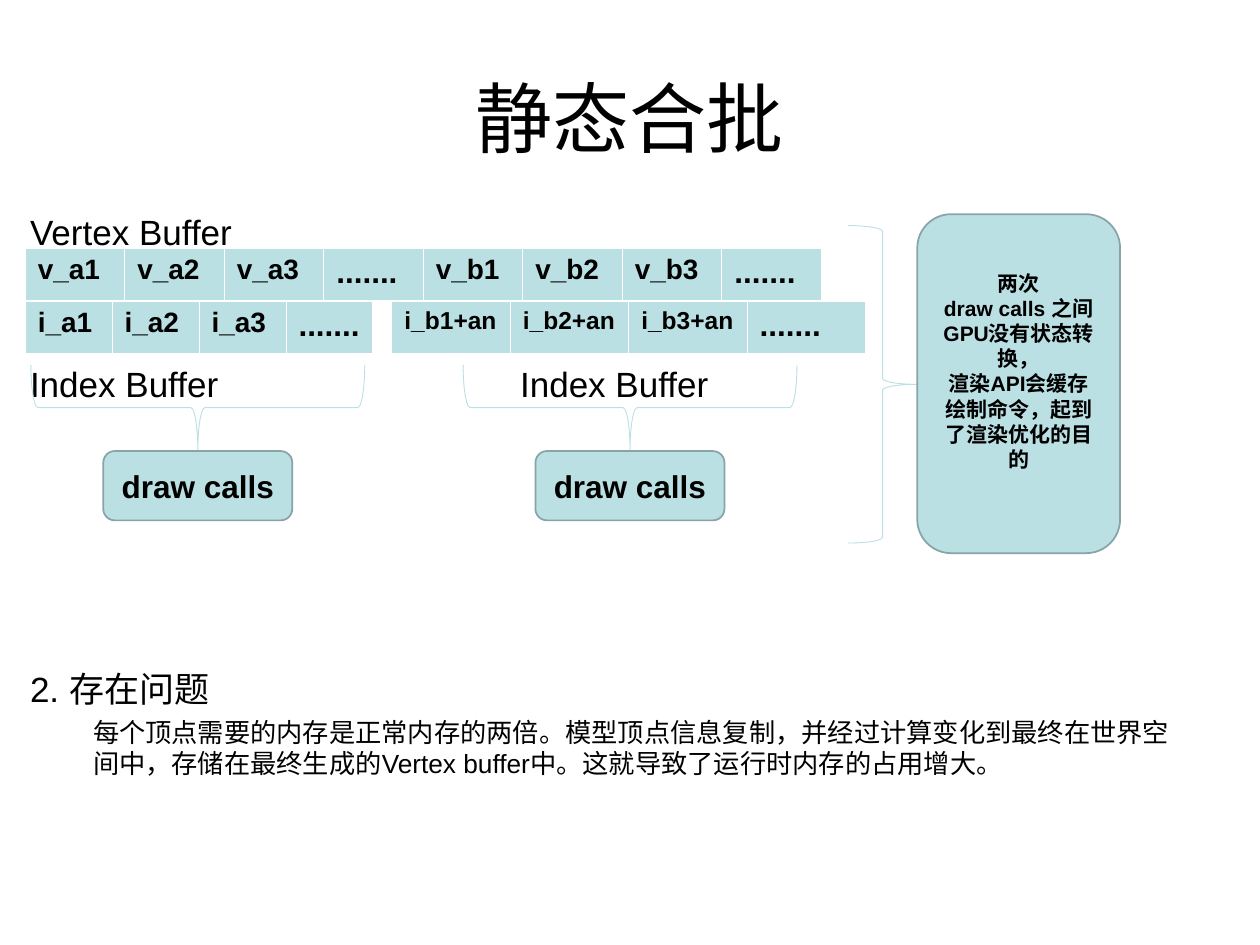
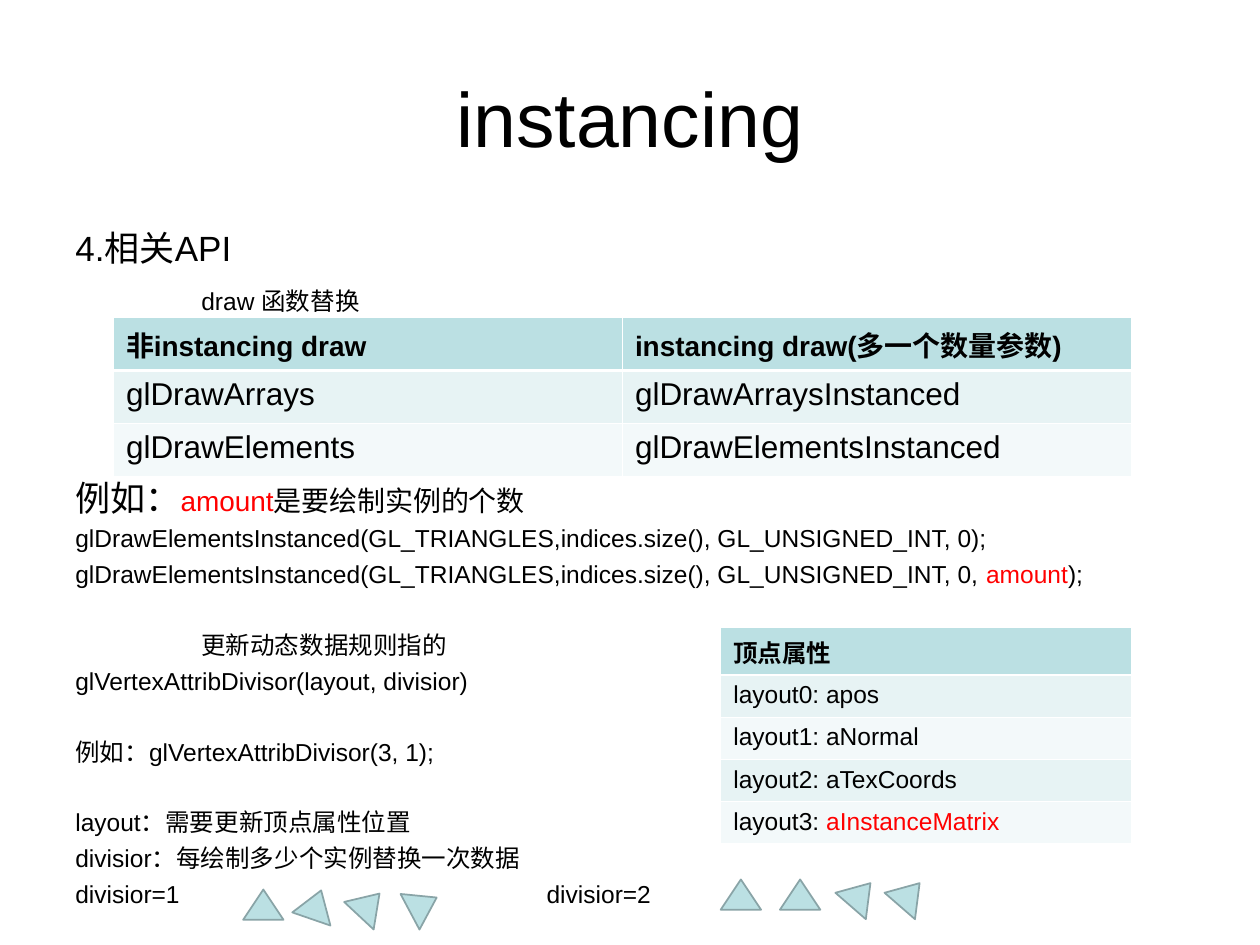
"""Build two slides on static batching and instancing."""
from dataclasses import dataclass

import pptx
import pptx.dml.color
import pptx.enum.shapes
import pptx.enum.text
import pptx.oxml
import pptx.oxml.ns
import pptx.util
from pptx.util import Inches

BLACK = pptx.dml.color.RGBColor(0x00, 0x00, 0x00)
RED = pptx.dml.color.RGBColor(0xFF, 0x00, 0x00)
TEAL = pptx.dml.color.RGBColor(0xBB, 0xE0, 0xE3)
TEAL_EDGE = pptx.dml.color.RGBColor(0x89, 0xA4, 0xA7)
BAND_FILLS = (pptx.dml.color.RGBColor(0xE7, 0xF3, 0xF4),
              pptx.dml.color.RGBColor(0xF3, 0xF9, 0xFA))
FONT = "Arial"
SHAPE = pptx.enum.shapes.MSO_SHAPE
ALIGN = pptx.enum.text.PP_ALIGN
ANCHOR = pptx.enum.text.MSO_ANCHOR
DOTS = "......."
LINE_GAP = 3.7
BLANK_LINE = 23.6


@dataclass
class Line:
    """One paragraph; each span is a text, or a (text, size, colour) tuple."""
    spans: tuple
    size: float
    before: float = 0
    indent: float = 0
    tab: float = 0
    bold: bool = False


BATCHING_TEXTS = [
    ((0.14, 1.62, 3, 0.45), [Line(("Vertex Buffer",), 20)]),
    ((0.14, 2.83, 3, 0.45), [Line(("Index Buffer",), 20)]),
    ((4.03, 2.83, 3, 0.45), [Line(("Index Buffer",), 20)]),
    ((0.14, 5.25, 9.36, 2), [
        Line(("2. 存在问题",), 20),
        Line(("每个顶点需要的内存是正常内存的两倍。模型顶点信息复制，并经过计算变化到最终在世界空间中，"
              "存储在最终生成的Vertex buffer中。这就导致了运行时内存的占用增大。",),
             15, before=3.7, indent=0.5),
    ]),
]
BUFFERS = [
    (0.2, 1.97, 0.79, 16, ["v_a1", "v_a2", "v_a3", DOTS, "v_b1", "v_b2", "v_b3", DOTS]),
    (0.2, 2.39, 0.69, 16, ["i_a1", "i_a2", "i_a3", DOTS]),
    (3.11, 2.39, 0.94, 14, ["i_b1+an", "i_b2+an", "i_b3+an", DOTS]),
]
DRAW_CALL_CENTERS = (1.57, 5)
STATE_NOTE = ["两次", "draw calls 之间GPU没有状态转换，", "渲染API会缓存绘制命令，起到了渲染优化的目的"]

INSTANCING_TEXTS = [
    ((0.5, 1.75, 9, 0.85), [
        Line(("4.相关API",), 20),
        Line(("draw 函数替换",), 14, before=10, indent=1),
    ]),
    ((0.5, 3.73, 9, 3.7), [
        Line((("例如：", 20, BLACK), ("amount", 16, RED), "是要绘制实例的个数"), 16),
        Line(("glDrawElementsInstanced(GL_TRIANGLES,indices.size(), GL_UNSIGNED_INT, 0);",),
             14, before=3),
        Line(("glDrawElementsInstanced(GL_TRIANGLES,indices.size(), GL_UNSIGNED_INT, 0, ",
              ("amount", 14, RED), ");"), 14, before=LINE_GAP),
        Line(("更新动态数据规则指的",), 14, before=BLANK_LINE, indent=1),
        Line(("glVertexAttribDivisor(layout, divisior)",), 14, before=LINE_GAP),
        Line(("例如：glVertexAttribDivisor(3, 1);",), 14, before=BLANK_LINE),
        Line(("layout：需要更新顶点属性位置",), 14, before=BLANK_LINE),
        Line(("divisior：每绘制多少个实例替换一次数据",), 14, before=LINE_GAP),
        Line(("divisior=1\tdivisior=2",), 14, before=LINE_GAP, tab=3.74),
    ]),
]
DRAW_FUNCTIONS = [
    ["非instancing draw", "instancing draw(多一个数量参数)"],
    ["glDrawArrays", "glDrawArraysInstanced"],
    ["glDrawElements", "glDrawElementsInstanced"],
]
VERTEX_ATTRIBUTES = [
    ["顶点属性"],
    ["layout0: apos"],
    ["layout1: aNormal"],
    ["layout2: aTexCoords"],
    [("layout3: ", ("aInstanceMatrix", 14, RED))],
]
INSTANCE_ROWS = [
    (7.06, [(1.93, 0), (2.35, 19), (2.77, 43), (3.2, 62)]),
    (6.98, [(5.72, 0), (6.19, 0), (6.67, 41), (7.06, 41)]),
]


def style_font(font, size, color=BLACK, bold=False):
    font.name = FONT
    font.size = pptx.util.Pt(size)
    font.bold = bold
    font.color.rgb = color


def write_lines(frame, lines, align=ALIGN.LEFT):
    frame.word_wrap = True
    for index, line in enumerate(lines):
        para = frame.paragraphs[0] if index == 0 else frame.add_paragraph()
        para.alignment = align
        if line.before:
            para.space_before = pptx.util.Pt(line.before)
        properties = para._p.get_or_add_pPr()
        if line.indent:
            properties.set("marL", str(Inches(line.indent)))
        if line.tab:
            properties.append(pptx.oxml.parse_xml(
                f'<a:tabLst {pptx.oxml.ns.nsdecls("a")}>'
                f'<a:tab pos="{Inches(line.tab)}" algn="l"/></a:tabLst>'))
        style_font(para.font, line.size, bold=line.bold)
        for part in line.spans:
            text, size, color = (part, line.size, BLACK) if isinstance(part, str) else part
            span = para.add_run()
            span.text = text
            style_font(span.font, size, color, line.bold)


def add_text(page, place, lines, align=ALIGN.LEFT, anchor=ANCHOR.TOP):
    box = page.shapes.add_textbox(*map(Inches, place))
    write_lines(box.text_frame, lines, align)
    box.text_frame.vertical_anchor = anchor


def add_page(deck, title, texts):
    page = deck.slides.add_slide(deck.slide_layouts[6])
    add_text(page, (0.5, 0.3, 9, 1.25), [Line((title,), 44)], ALIGN.CENTER, ANCHOR.MIDDLE)
    for place, lines in texts:
        add_text(page, place, lines)
    return page


def set_borders(cell, row):
    properties = cell._tc.get_or_add_tcPr()
    widths = {"lnL": 0.5, "lnR": 0.5, "lnT": 1.5 if row == 1 else 0.5,
              "lnB": 1.5 if row == 0 else 0.5}
    for position, (side, width) in enumerate(widths.items()):
        properties.insert(position, pptx.oxml.parse_xml(
            f'<a:{side} {pptx.oxml.ns.nsdecls("a")} w="{pptx.util.Pt(width)}">'
            f'<a:solidFill><a:srgbClr val="FFFFFF"/></a:solidFill></a:{side}>'))


def add_grid(page, left, top, column_width, row_heights, rows, head_size, body_size):
    count = len(rows[0])
    table = page.shapes.add_table(
        len(rows), count, Inches(left), Inches(top),
        Inches(column_width * count), Inches(sum(row_heights))).table
    for column in table.columns:
        column.width = Inches(column_width)
    for row, values in enumerate(rows):
        table.rows[row].height = Inches(row_heights[row])
        for column, value in enumerate(values):
            cell = table.cell(row, column)
            cell.fill.solid()
            cell.fill.fore_color.rgb = BAND_FILLS[(row - 1) % 2] if row else TEAL
            set_borders(cell, row)
            size = 18 if value == DOTS else body_size if row else head_size
            spans = (value,) if isinstance(value, str) else value
            write_lines(cell.text_frame, [Line(spans, size, bold=row == 0)])


def add_filled(page, kind, place, lines=(), rotation=0):
    shape = page.shapes.add_shape(kind, *map(Inches, place))
    shape.shadow.inherit = False
    shape.rotation = rotation
    shape.fill.solid()
    shape.fill.fore_color.rgb = TEAL
    shape.line.color.rgb = TEAL_EDGE
    shape.line.width = pptx.util.Pt(1)
    if lines:
        write_lines(shape.text_frame, lines, ALIGN.CENTER)
        shape.text_frame.vertical_anchor = ANCHOR.MIDDLE
    return shape


def add_brace(page, place, rotation=0):
    brace = page.shapes.add_shape(SHAPE.RIGHT_BRACE, *map(Inches, place))
    brace.shadow.inherit = False
    brace.rotation = rotation
    brace.fill.background()
    brace.line.color.rgb = TEAL
    brace.line.width = pptx.util.Pt(0.5)


def build_batching(deck):
    page = add_page(deck, "静态合批", BATCHING_TEXTS)
    for left, top, width, size, names in BUFFERS:
        add_grid(page, left, top, width, [0.42], [names], size, size)
    for center in DRAW_CALL_CENTERS:
        add_brace(page, (center - 0.34, 1.91, 0.68, 2.65), 90)
        add_filled(page, SHAPE.ROUNDED_RECTANGLE, (center - 0.75, 3.58, 1.5, 0.55),
                   [Line(("draw calls",), 18, bold=True)])
    add_brace(page, (6.73, 1.79, 0.55, 2.52))
    note = add_filled(page, SHAPE.ROUNDED_RECTANGLE, (7.28, 1.7, 1.61, 2.69),
                      [Line((text,), 12, bold=True) for text in STATE_NOTE])
    note.text_frame.margin_bottom = Inches(0.25)


def build_instancing(deck):
    page = add_page(deck, "instancing", INSTANCING_TEXTS)
    add_grid(page, 0.9, 2.52, 4.04, [0.42] * 3, DRAW_FUNCTIONS, 16, 18)
    add_grid(page, 5.72, 4.98, 3.26, [0.38] + [0.33] * 4, VERTEX_ATTRIBUTES, 14, 14)
    for top, instances in INSTANCE_ROWS:
        for left, rotation in instances:
            add_filled(page, SHAPE.ISOSCELES_TRIANGLE, (left, top, 0.32, 0.24),
                       rotation=rotation)


def main():
    deck = pptx.Presentation()
    deck.slide_width, deck.slide_height = Inches(10), Inches(7.5)
    build_batching(deck)
    build_instancing(deck)
    deck.save("out.pptx")


if __name__ == "__main__":
    main()
